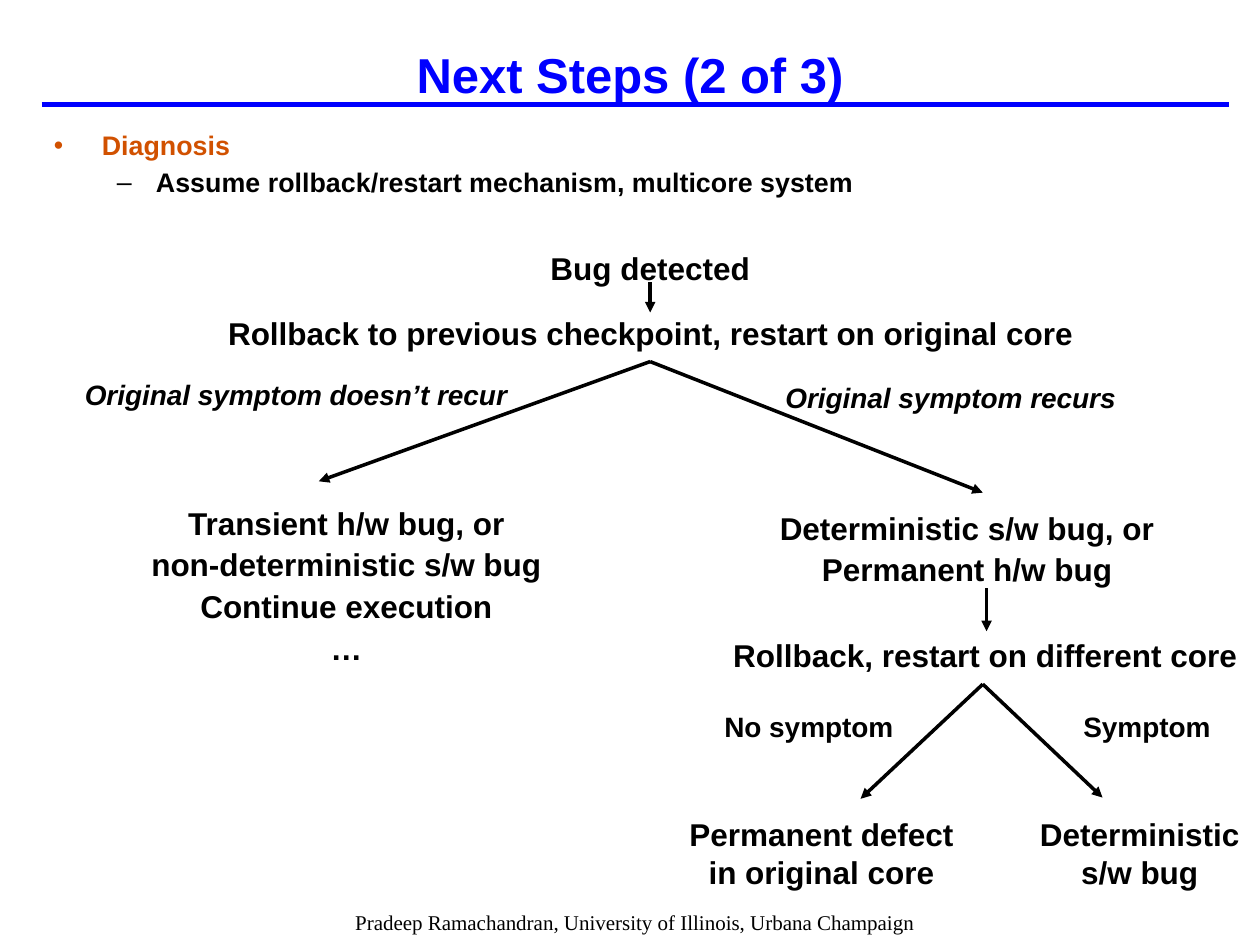
"""Build the diagnosis decision tree slide."""
from dataclasses import dataclass

from lxml import etree
from pptx import Presentation
from pptx import util as u
from pptx.dml.color import RGBColor
from pptx.enum import shapes, text
from pptx.oxml import ns

MID = text.PP_ALIGN.CENTER
LEFT = text.PP_ALIGN.LEFT


@dataclass(frozen=True)
class Theme:
    """Colours, fonts and type sizes."""
    ink: str = "000000"
    blue: str = "0000FF"
    rust: str = "D15100"
    sans: str = "Arial"
    serif: str = "Times New Roman"
    title: float = 28
    node: float = 18
    label: float = 16
    point: float = 15.3
    foot: float = 12
    rule: float = 3
    arrow: float = 2


class Board:
    """Draw styled elements on one slide."""

    def __init__(self, slide, theme):
        """Keep the slide and its theme."""
        self.slide = slide
        self.theme = theme

    def style(self, para, size, color=None, font=None, bold=True, slant=False):
        """Format every run of a paragraph."""
        for run in para.runs:
            face = run.font
            face.name = font or self.theme.sans
            face.size = u.Pt(size)
            face.bold = bold
            face.italic = slant
            face.color.rgb = RGBColor.from_string(color or self.theme.ink)

    def box(self, area, words, size, align=MID, wrap=True, space=None, indent=0, **look):
        """Add a text box with one style throughout."""
        shape = self.slide.shapes.add_textbox(*map(u.Inches, area))
        frame = shape.text_frame
        frame.text = words
        frame.word_wrap = wrap
        for para in frame.paragraphs:
            para.alignment = align
            if space:
                para.line_spacing = space
            if indent:
                para._p.get_or_add_pPr().set("marL", str(u.Inches(indent)))
            self.style(para, size, **look)
        return frame

    def node(self, area, words, **look):
        """Add a step of the tree."""
        self.box(area, words, self.theme.node, **look)

    def label(self, area, words, **look):
        """Add the condition beside a branch."""
        self.box(area, words, self.theme.label, **look)

    def title(self, area, words):
        """Add the slide title."""
        frame = self.box(area, words, self.theme.title, color=self.theme.blue)
        frame.vertical_anchor = text.MSO_ANCHOR.MIDDLE

    def points(self, area, items):
        """Add a list of (text, mark, colour, margin, hang) points."""
        frame = self.box(area, "\n".join(item[0] for item in items), self.theme.point, LEFT)
        for rank, (para, item) in enumerate(zip(frame.paragraphs, items)):
            _, mark, color, margin, hang = item
            para.level = rank
            props = para._p.get_or_add_pPr()
            props.set("marL", str(u.Inches(margin)))
            props.set("indent", str(-u.Inches(hang)))
            tint = etree.SubElement(props, ns.qn("a:buClr"))
            etree.SubElement(tint, ns.qn("a:srgbClr"), val=color)
            etree.SubElement(props, ns.qn("a:buFont"), typeface=self.theme.sans)
            etree.SubElement(props, ns.qn("a:buChar"), char=mark)
            para.line_spacing = 0.9
            if rank:
                para.space_before = u.Pt(4.5)
            self.style(para, self.theme.point, color)

    def line(self, start, end, color, width):
        """Add a straight line and return its line properties."""
        link = self.slide.shapes.add_connector(
            shapes.MSO_CONNECTOR.STRAIGHT, *map(u.Inches, (*start, *end)))
        link.line.color.rgb = RGBColor.from_string(color)
        link.line.width = u.Pt(width)
        etree.SubElement(link._element.spPr, ns.qn("a:effectLst"))
        return link.line._get_or_add_ln()

    def arrow(self, start, end):
        """Add an arrow pointing at the end."""
        stroke = self.line(start, end, self.theme.ink, self.theme.arrow)
        etree.SubElement(stroke, ns.qn("a:tailEnd"), type="triangle")


def main():
    """Build and save the slide."""
    deck = Presentation()
    deck.slide_width, deck.slide_height = u.Inches(10), u.Inches(7.5)
    theme = Theme()
    board = Board(deck.slides.add_slide(deck.slide_layouts[6]), theme)

    board.line((0.33, 0.83), (9.75, 0.83), theme.blue, theme.rule)
    board.box((0.33, 7.17, 9.42, 0.3),
              "Pradeep Ramachandran, University of Illinois, Urbana Champaign",
              theme.foot, font=theme.serif, bold=False)
    board.title((0, 0.17, 10, 0.83), "Next Steps (2 of 3)")
    board.points((0.33, 1, 9.67, 0.7), [
        ("Diagnosis", "•", theme.rust, 0.38, 0.38),
        ("Assume rollback/restart mechanism, multicore system", "–", theme.ink, 0.81, 0.31),
    ])

    forks = [
        ((5.16, 2.87), [(2.53, 3.82), (7.8, 3.91)]),
        ((7.83, 4.67), [(7.83, 5.01)]),
        ((5.16, 2.24), [(5.16, 2.48)]),
        ((7.8, 5.43), [(6.83, 6.34), (8.75, 6.33)]),
    ]
    for start, ends in forks:
        for end in ends:
            board.arrow(start, end)

    board.node((3.65, 1.93, 3.02, 0.4), "Bug detected")
    board.node((1.71, 2.44, 6.91, 0.4),
               "Rollback to previous checkpoint, restart on original core", wrap=False)
    board.node((0, 3.92, 4.5, 1.88),
               "Transient h/w bug, or\nnon-deterministic s/w bug\nContinue execution\n…",
               space=1.1, indent=1)
    board.node((5.72, 3.96, 3.91, 0.76),
               "Deterministic s/w bug, or\nPermanent h/w bug", space=1.1)
    board.node((5.42, 5, 4.8, 0.4), "Rollback, restart on different core")
    board.node((5.34, 6.42, 2.36, 0.7), "Permanent defect \nin original core", wrap=False)
    board.node((8.09, 6.42, 1.91, 0.7), "Deterministic s/w bug")

    board.label((0.46, 2.95, 3.78, 0.37), "Original symptom doesn’t recur", slant=True)
    board.label((5.8, 2.97, 3.49, 0.37), "Original symptom recurs", slant=True)
    board.label((5.65, 5.58, 1.58, 0.37), "No symptom", align=LEFT)
    board.label((8.5, 5.58, 1.3, 0.37), "Symptom", align=LEFT)

    deck.save("out.pptx")


if __name__ == "__main__":
    main()
